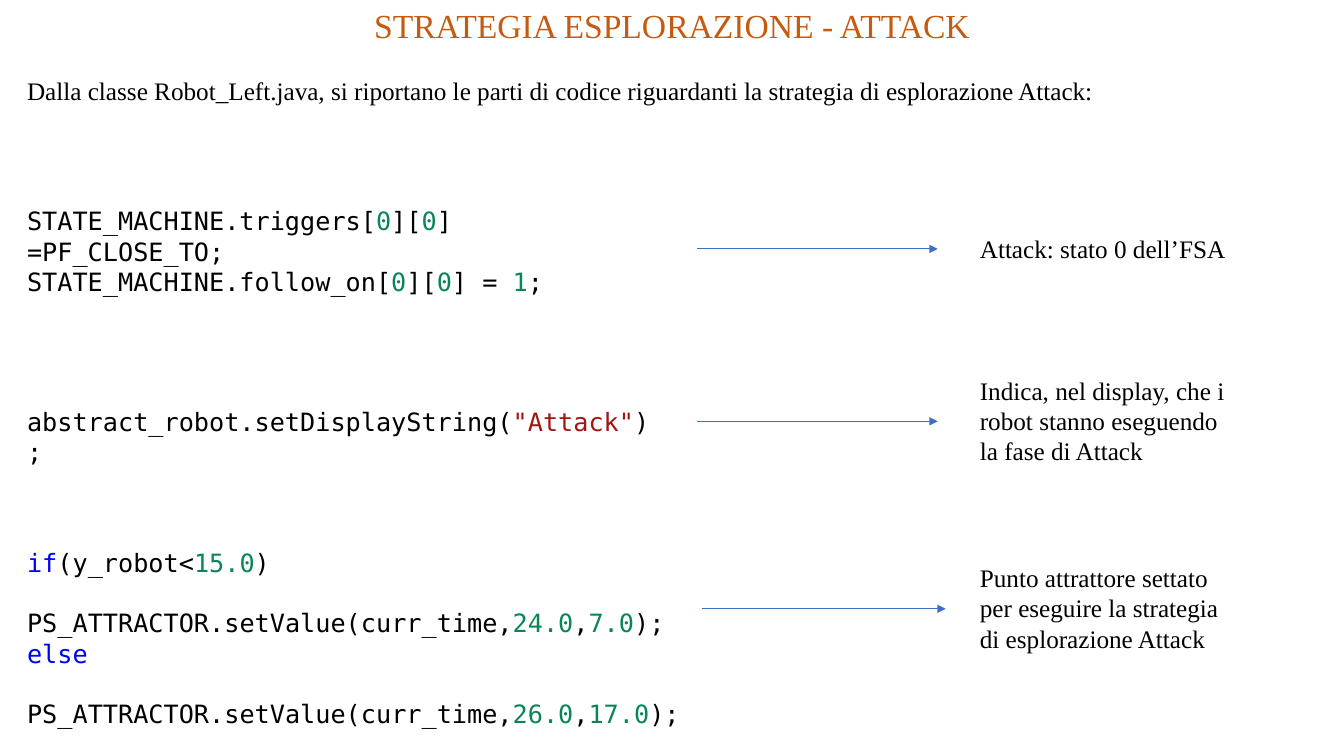
from dataclasses import dataclass

from lxml.etree import SubElement
from pptx import Presentation
from pptx.dml.color import RGBColor
from pptx.enum.shapes import MSO_CONNECTOR
from pptx.enum.text import MSO_ANCHOR, PP_ALIGN
from pptx.oxml.ns import qn
from pptx.util import Inches, Pt


@dataclass(frozen=True)
class Theme:
    serif: str = "Times New Roman"
    mono: str = "DejaVu Sans Mono"
    head: int = 24
    body: int = 18
    title: str = "C55A11"
    ink: str = "000000"
    num: str = "098658"
    quote: str = "A31515"
    key: str = "0000FF"
    arrow: str = "3F6FC3"
    stroke: float = 0.75


def write(frame, lines, *, font, size, color, align=PP_ALIGN.LEFT):
    """Fill a frame; each line is a list of strings or (string, color) pairs."""
    frame.word_wrap = True
    frame.vertical_anchor = MSO_ANCHOR.TOP
    for i, line in enumerate(lines):
        para = frame.add_paragraph() if i else frame.paragraphs[0]
        para.alignment = align
        for part in line:
            text, tint = (part, color) if isinstance(part, str) else part
            run = para.add_run()
            run.text = text
            run.font.name = font
            run.font.size = Pt(size)
            run.font.color.rgb = RGBColor.from_string(tint)


class Page:
    def __init__(self, deck, theme):
        self.theme = theme
        self.slide = deck.slides.add_slide(deck.slide_layouts[5])

    def title(self, text, width, height):
        shape = self.slide.shapes.title
        shape.left, shape.top = Inches(0), Inches(0)
        shape.width, shape.height = Inches(width), Inches(height)
        write(shape.text_frame, [[text]], font=self.theme.serif,
              size=self.theme.head, color=self.theme.title,
              align=PP_ALIGN.CENTER)

    def box(self, lines, left, top, width, height, font):
        shape = self.slide.shapes.add_textbox(
            Inches(left), Inches(top), Inches(width), Inches(height))
        write(shape.text_frame, lines, font=font, size=self.theme.body,
              color=self.theme.ink)

    def text(self, text, *place):
        self.box([[text]], *place, font=self.theme.serif)

    def code(self, lines, *place):
        self.box(lines, *place, font=self.theme.mono)

    def arrow(self, start, end, y):
        line = self.slide.shapes.add_connector(
            MSO_CONNECTOR.STRAIGHT,
            Inches(start), Inches(y), Inches(end), Inches(y))
        line.line.color.rgb = RGBColor.from_string(self.theme.arrow)
        line.line.width = Pt(self.theme.stroke)
        SubElement(line.line._get_or_add_ln(), qn("a:tailEnd"), type="triangle")
        SubElement(line._element.spPr, qn("a:effectLst"))


def main():
    deck = Presentation()
    deck.slide_width, deck.slide_height = Inches(13.33), Inches(7.5)
    theme = Theme()
    page = Page(deck, theme)

    def num(text):
        return text, theme.num

    def point(x, y):
        return ["  PS_ATTRACTOR.setValue(curr_time,", num(x), ",", num(y), ");"]

    # Heading and intro
    page.title("STRATEGIA ESPLORAZIONE - ATTACK", 13.33, 0.5)
    page.text("Dalla classe Robot_Left.java, si riportano le parti di codice "
              "riguardanti la strategia di esplorazione Attack:",
              0.17, 0.7, 13, 0.4)

    # Code on the left
    cell = [num("0"), "][", num("0")]
    page.code([["STATE_MACHINE.triggers[", *cell, "]  =PF_CLOSE_TO;"],
               ["STATE_MACHINE.follow_on[", *cell, "] = ", num("1"), ";"]],
              0.17, 1.99, 6.5, 1.01)
    page.code([["abstract_robot.setDisplayString(",
                ('"Attack"', theme.quote), ");"]],
              0.17, 3.98, 6.5, 0.4)
    page.code([[("if", theme.key), "(y_robot<", num("15.0"), ")"],
               point("24.0", "7.0"),
               [("else", theme.key)],
               point("26.0", "17.0")],
              0.17, 5.38, 6.79, 1.31)

    # Notes on the right
    notes = [
        ("Attack: stato 0 dell’FSA", 2.27, 0.4),
        ("Indica, nel display, che i robot stanno eseguendo la fase di Attack",
         3.67, 1.01),
        ("Punto attrattore settato per eseguire la strategia "
         "di esplorazione Attack", 5.53, 1.01),
    ]
    for text, top, height in notes:
        page.text(text, 9.62, top, 2.76, height)

    # Arrows from code to notes
    for start, end, y in [(6.91, 9.3, 2.47), (6.91, 9.3, 4.18),
                          (6.96, 9.38, 6.04)]:
        page.arrow(start, end, y)

    deck.save("out.pptx")


if __name__ == "__main__":
    main()
